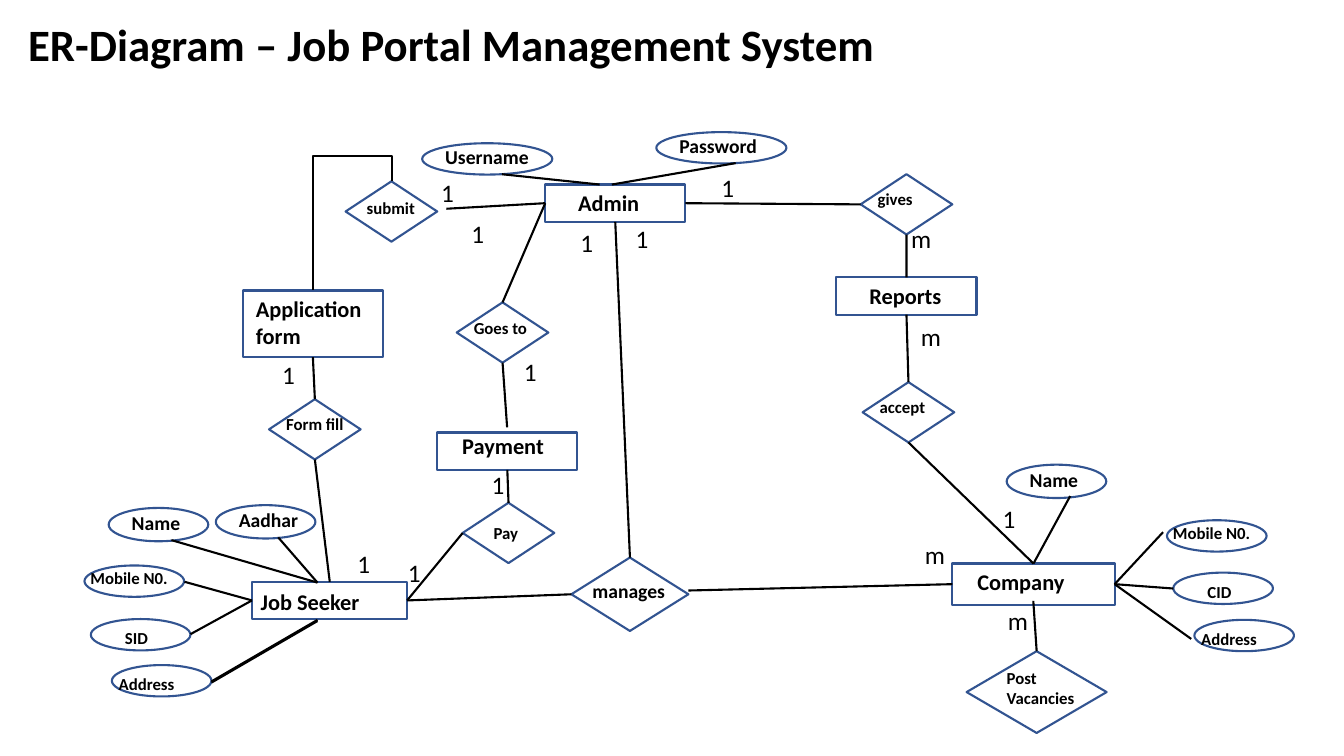
from dataclasses import dataclass

from lxml import etree
from pptx import Presentation
from pptx.dml.color import RGBColor
from pptx.enum.shapes import MSO_CONNECTOR, MSO_SHAPE
from pptx.enum.text import MSO_AUTO_SIZE
from pptx.oxml.ns import qn
from pptx.util import Cm, Pt

RECT, DIAMOND, OVAL = MSO_SHAPE.RECTANGLE, MSO_SHAPE.DIAMOND, MSO_SHAPE.OVAL
STRAIGHT, ELBOW = MSO_CONNECTOR.STRAIGHT, MSO_CONNECTOR.ELBOW
GROW = MSO_AUTO_SIZE.SHAPE_TO_FIT_TEXT
TOP, LEFT, BOTTOM, RIGHT = range(4)  # connection sites of boxes and diamonds


@dataclass(frozen=True)
class Theme:
    font: str = "Calibri"
    ink: RGBColor = RGBColor(0x00, 0x00, 0x00)
    outline: RGBColor = RGBColor(0x32, 0x54, 0x91)
    stroke: float = 1.5
    title: int = 32
    cardinality: int = 18
    entity: int = 16
    label: int = 14
    small: int = 12


THEME = Theme()

# Frame sizes, and label boxes as (dx, dy, width) from the frame's corner
BOX = (3.53, 0.94)
RHOMB = (2.31, 1.52)
WIDE_OVAL, MID_OVAL, LOW_OVAL = (3.28, 0.79), (2.51, 0.84), (2.51, 0.79)
RHOMB_LABEL = (0.18, 0.25, 2.26)
WIDE_LABEL, MID_LABEL = (0.33, -0.08, 3.33), (0.33, -0.05, 2.51)
MOBILE_LABEL, ID_LABEL = (-0.1, -0.06, 2.57), (0.61, 0.1, 1.7)
ADDRESS_LABEL = (-0.08, 0.1, 2.41)

# text, (left, top), frame size, label box, lines of text
ENTITIES = [
    ("Admin", (13.74, 4.65), BOX, (0.58, 0, 2.21), 1),
    ("Company", (24, 14.2), (4.09, 1.04), (0.38, 0, 3.33), 1),
    ("Job Seeker", (6.35, 14.66), (3.91, 0.94), (-0.03, 0.03, 3.33), 1),
    ("Application form", (6.12, 7.32), (3.53, 1.68), (0.08, 0, 3.33), 2),
    ("Payment", (11.02, 10.9), BOX, (0.38, -0.13, 2.77), 1),
    ("Reports", (21.08, 6.99), BOX, (0.58, 0, 2.51), 1),
]

# text, (left, top), frame size, label box, type size, lines of text
RELATIONSHIPS = [
    ("manages", (14.4, 14.05), (2.95, 1.85), (0.28, 0.41, 2.67), THEME.label, 1),
    ("Post Vacancies", (24.36, 16.41), (3.53, 2.06), (0.76, 0.28, 2.26), THEME.small, 2),
    ("Form fill", (6.78, 10.06), RHOMB, RHOMB_LABEL, THEME.small, 1),
    ("submit", (8.71, 4.57), RHOMB, (0.28, 0.3, 2.26), THEME.small, 1),
    ("Goes to", (11.51, 7.62), RHOMB, RHOMB_LABEL, THEME.small, 1),
    ("Pay", (11.66, 12.67), RHOMB, (0.53, 0.38, 2.26), THEME.small, 1),
    ("gives", (21.69, 4.39), RHOMB, RHOMB_LABEL, THEME.small, 1),
    ("accept", (21.74, 9.63), RHOMB, RHOMB_LABEL, THEME.small, 1),
]

# text, (left, top), frame size, label box, type size
ATTRIBUTES = [
    ("Username", (10.64, 3.61), WIDE_OVAL, WIDE_LABEL, THEME.label),
    ("Password", (16.54, 3.33), WIDE_OVAL, WIDE_LABEL, THEME.label),
    ("Name", (2.74, 12.8), MID_OVAL, MID_LABEL, THEME.label),
    ("Aadhar", (5.44, 12.73), MID_OVAL, MID_LABEL, THEME.label),
    ("Mobile N0.", (2.13, 14.25), LOW_OVAL, MOBILE_LABEL, THEME.small),
    ("SID", (2.29, 15.6), LOW_OVAL, ID_LABEL, THEME.small),
    ("Address", (2.82, 16.76), LOW_OVAL, ADDRESS_LABEL, THEME.small),
    ("Name", (25.37, 11.71), MID_OVAL, MID_LABEL, THEME.label),
    ("Mobile N0.", (29.41, 13.11), LOW_OVAL, MOBILE_LABEL, THEME.small),
    ("CID", (29.57, 14.43), LOW_OVAL, ID_LABEL, THEME.small),
    ("Address", (30.1, 15.62), LOW_OVAL, ADDRESS_LABEL, THEME.small),
]

# Each end is (node, site) where it is attached, or a free point (x, y)
LINKS = [
    (("Admin", BOTTOM), ("manages", TOP)),
    ((17.35, 14.88), ("Company", LEFT)),
    (("Job Seeker", RIGHT), ("manages", LEFT)),
    (("Post Vacancies", TOP), (26.04, 15.14)),
    ((8.31, 14.66), ("Form fill", BOTTOM)),
    (("Form fill", TOP), ("Application form", BOTTOM)),
    ((11.25, 5.26), ("Admin", LEFT)),
    (("Job Seeker", RIGHT), ("Pay", LEFT)),
    (("Pay", TOP), ("Payment", BOTTOM)),
    (("Goes to", BOTTOM), (12.78, 10.77)),
    (("Admin", LEFT), ("Goes to", TOP)),
    (("Admin", RIGHT), ("gives", LEFT)),
    (("Reports", TOP), ("gives", BOTTOM)),
    (("accept", TOP), ("Reports", BOTTOM)),
    (("Company", TOP), ("accept", BOTTOM)),
    # Attributes of Admin
    ((18.54, 4.11), (15.42, 4.65)),
    ((12.65, 4.39), (15.11, 4.65)),
    # Attributes of Job Seeker
    ((7.01, 13.54), (8, 14.68)),
    ((4.32, 13.61), (8, 14.68)),
    ((4.65, 14.66), ("Job Seeker", LEFT)),
    ((4.8, 15.98), ("Job Seeker", LEFT)),
    ((5.33, 17.17), (8, 15.62)),
    ((5.33, 17.2), (8, 15.65)),
    # Attributes of Company
    ((26.97, 12.5), ("Company", TOP)),
    (("Company", RIGHT), (29.31, 13.41)),
    (("Company", RIGHT), (29.57, 14.83)),
    (("Company", RIGHT), (30.02, 16.1)),
]

CARDINALITIES = {
    "1": [(17.93, 4.22), (10.03, 13.92), (15.77, 5.51), (14.38, 5.61),
          (8.76, 13.69), (6.86, 8.94), (10.87, 4.34), (12.14, 11.71),
          (12.95, 8.86), (11.63, 5.38), (25.02, 12.57)],
    "m": [(25.15, 15.14), (23.06, 13.46), (22.71, 5.51), (22.96, 7.98)],
}


def add_text(s, text, x, y, w, size, bold=True, lines=1):
    height = 0.25 + lines * size * 1.2 * 2.54 / 72
    sp = s.shapes.add_textbox(Cm(x), Cm(y), Cm(w), Cm(height))
    tf = sp.text_frame
    tf.word_wrap = True
    tf.auto_size = GROW
    p = tf.paragraphs[0]
    p.text = text
    p.font.name, p.font.size, p.font.bold = THEME.font, Pt(size), bold
    p.font.color.rgb = THEME.ink


def add_node(s, kind, text, corner, frame, label, size, lines=1):
    sp = s.shapes.add_shape(kind, *map(Cm, corner + frame))
    sp.shadow.inherit = False
    sp.fill.background()
    sp.line.color.rgb = THEME.outline
    sp.line.width = Pt(THEME.stroke)
    dx, dy, w = label
    add_text(s, text, corner[0] + dx, corner[1] + dy, w, size, lines=lines)
    return sp


def add_line(s, kind, start, end):
    line = s.shapes.add_connector(kind, *map(Cm, start + end))
    line.line.color.rgb = THEME.ink
    line.line.width = Pt(THEME.stroke)
    etree.SubElement(line._element.spPr, qn("a:effectLst"))
    return line


def add_link(s, nodes, start, end):
    free = [(0, 0) if e[0] in nodes else e for e in (start, end)]
    line = add_line(s, STRAIGHT, *free)
    for e, attach in ((start, line.begin_connect), (end, line.end_connect)):
        if e[0] in nodes:
            attach(nodes[e[0]], e[1])


def add_submit_elbow(s):
    # Turned a quarter to the left so that it leaves and enters from above
    line = add_line(s, ELBOW, (10.26, 6.93), (7.52, 4.95))
    sp_pr = line._element.spPr
    sp_pr.find(qn("a:xfrm")).set("rot", str(270 * 60000))
    guides = sp_pr.find(qn("a:prstGeom")).find(qn("a:avLst"))
    etree.SubElement(guides, qn("a:gd"), name="adj1", fmla="val -23100")


def main():
    prs = Presentation()
    prs.slide_width, prs.slide_height = Cm(33.87), Cm(19.05)
    s = prs.slides.add_slide(prs.slide_layouts[6])

    # Entities, relationships and attributes
    nodes = {}
    for text, corner, frame, label, lines in ENTITIES:
        nodes[text] = add_node(s, RECT, text, corner, frame, label, THEME.entity, lines)
    for text, *rest in RELATIONSHIPS:
        nodes[text] = add_node(s, DIAMOND, text, *rest)
    for attribute in ATTRIBUTES:
        add_node(s, OVAL, *attribute)

    # Links
    for start, end in LINKS:
        add_link(s, nodes, start, end)
    add_submit_elbow(s)

    # Cardinalities and title
    for text, places in CARDINALITIES.items():
        for x, y in places:
            add_text(s, text, x, y, 0.89, THEME.cardinality, bold=False)
    add_text(s, "ER-Diagram – Job Portal Management System", 0.46, 0.3, 23.9, THEME.title)

    prs.save("out.pptx")


if __name__ == "__main__":
    main()
